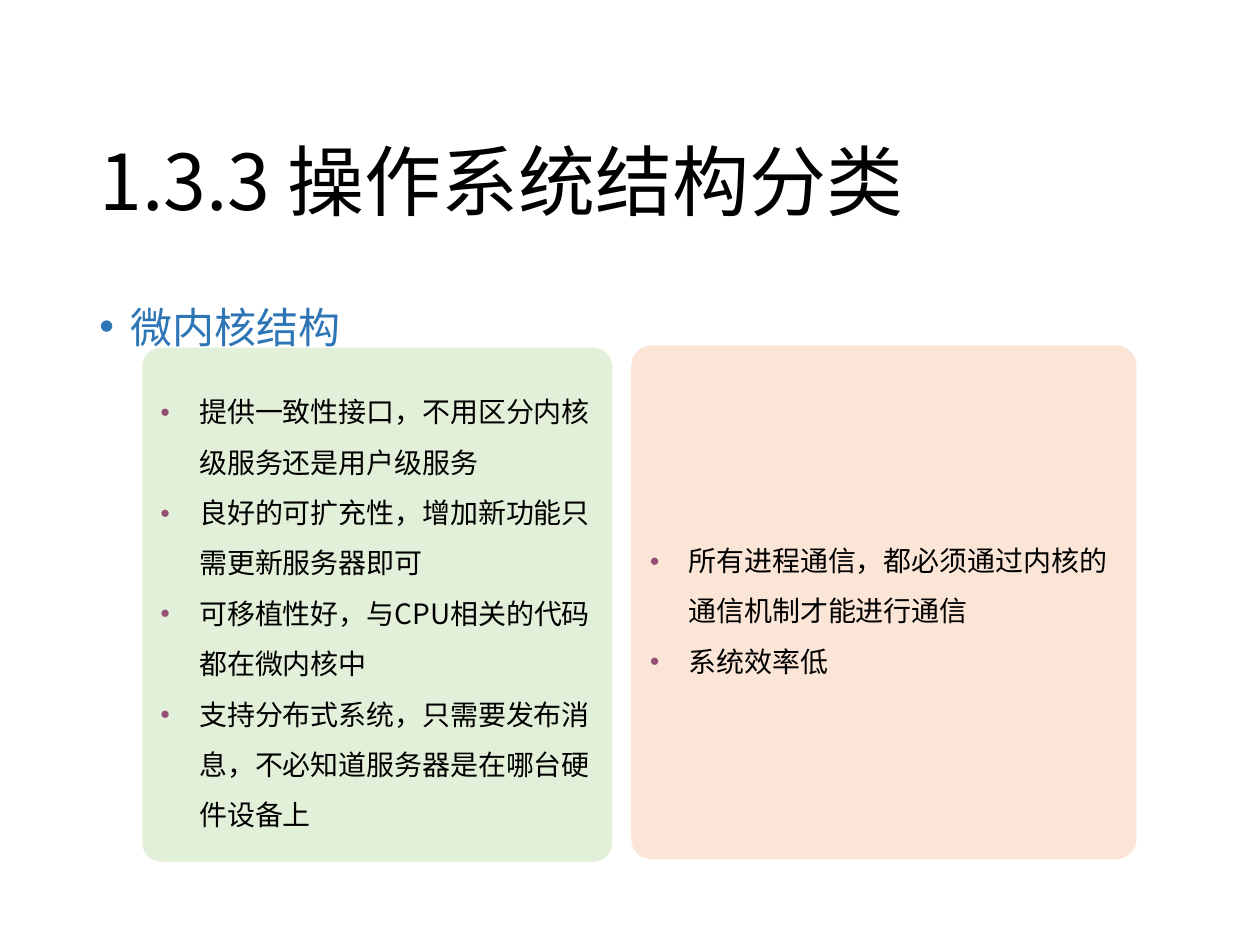
"""Build a slide on the strengths and weaknesses of the microkernel structure."""
from lxml.etree import SubElement
from pptx import Presentation
from pptx.dml.color import RGBColor
from pptx.enum.shapes import MSO_SHAPE
from pptx.enum.text import MSO_ANCHOR, PP_ALIGN
from pptx.oxml.ns import qn
from pptx.util import Inches, Pt

FONT = "Noto Sans CJK SC"
COLORS = {
    "title": "000000",
    "topic": "2E75B6",
    "text": "000000",
    "bullet": "954F72",
    "strengths": "E2F0D9",
    "weaknesses": "FBE5D6",
}


def add_bullet(paragraph, character, indent, color, percent):
    properties = paragraph._p.get_or_add_pPr()
    properties.set("marL", str(Inches(indent)))
    properties.set("indent", str(-Inches(indent)))
    bullet_color = SubElement(properties, qn("a:buClr"))
    SubElement(bullet_color, qn("a:srgbClr"), val=COLORS[color])
    SubElement(properties, qn("a:buSzPct"), val=str(percent * 1000))
    SubElement(properties, qn("a:buFont"), typeface="Arial")
    SubElement(properties, qn("a:buChar"), char=character)


def style_paragraph(paragraph, size, color, line_spacing):
    paragraph.alignment = PP_ALIGN.LEFT
    paragraph.line_spacing = line_spacing
    paragraph.space_before = Pt(0)
    font = paragraph.font
    font.size = Pt(size)
    font.color.rgb = RGBColor.from_string(COLORS[color])
    font.name = FONT
    SubElement(font._element, qn("a:ea"), typeface=FONT)


presentation = Presentation()
presentation.slide_width = Inches(10)
presentation.slide_height = Inches(7.5)
slide = presentation.slides.add_slide(presentation.slide_layouts[6])

headings = [
    ("1.3.3 操作系统结构分类", "title", 0.4, 1.45, 44, 0.9, MSO_ANCHOR.BOTTOM),
    ("微内核结构", "topic", 2, 0.84, 24, 1.5, MSO_ANCHOR.TOP),
]
for text, role, top, height, size, line_spacing, anchor in headings:
    shape = slide.shapes.add_textbox(Inches(0.69), Inches(top), Inches(8.62), Inches(height))
    frame = shape.text_frame
    frame.word_wrap = True
    frame.vertical_anchor = anchor
    paragraph = frame.paragraphs[0]
    paragraph.text = text
    if role == "topic":
        frame.margin_top = Inches(0.19)
        add_bullet(paragraph, "•", 0.25, role, 100)
    style_paragraph(paragraph, size, role, line_spacing)

cards = [
    ("strengths", 1.13, 2.76, 3.73, [
        "提供一致性接口，不用区分内核级服务还是用户级服务",
        "良好的可扩充性，增加新功能只需更新服务器即可",
        "可移植性好，与CPU相关的代码都在微内核中",
        "支持分布式系统，只需要发布消息，不必知道服务器是在哪台硬件设备上",
    ]),
    ("weaknesses", 5.01, 2.74, 4.01, [
        "所有进程通信，都必须通过内核的通信机制才能进行通信",
        "系统效率低",
    ]),
]
for role, left, top, width, points in cards:
    shape = slide.shapes.add_shape(
        MSO_SHAPE.ROUNDED_RECTANGLE, Inches(left), Inches(top), Inches(width), Inches(4.08))
    shape.adjustments[0] = 0.04
    shape.shadow.inherit = False
    shape.fill.solid()
    shape.fill.fore_color.rgb = RGBColor.from_string(COLORS[role])
    shape.line.fill.background()
    frame = shape.text_frame
    frame.word_wrap = True
    frame.vertical_anchor = MSO_ANCHOR.MIDDLE
    for index, point in enumerate(points):
        paragraph = frame.add_paragraph() if index else frame.paragraphs[0]
        paragraph.text = point
        add_bullet(paragraph, "●", 0.31, "bullet", 60)
        style_paragraph(paragraph, 16, "text", 1.5)

presentation.save("out.pptx")
